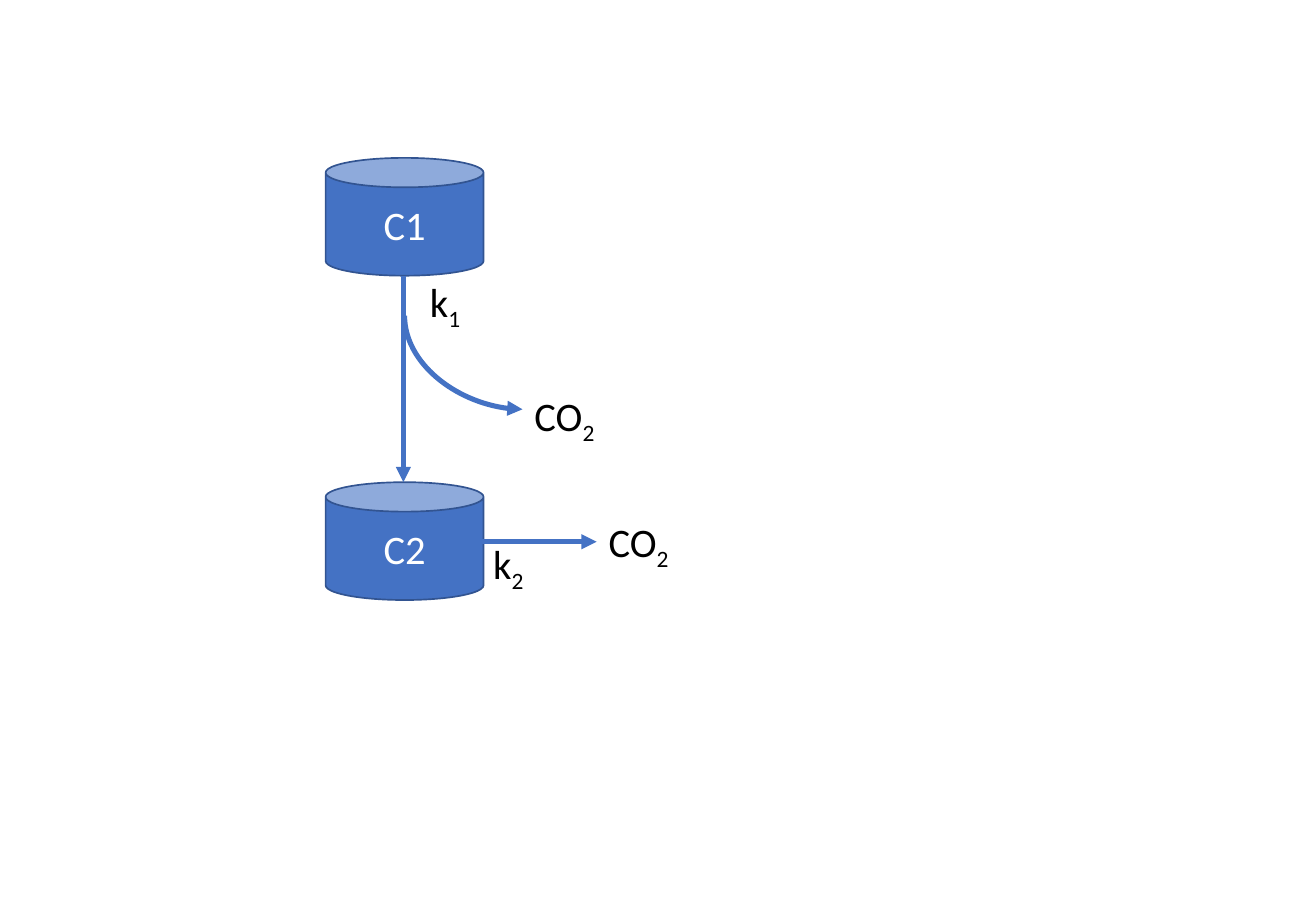
from lxml import etree
from pptx import Presentation
from pptx.dml.color import RGBColor
from pptx.enum import shapes, text
from pptx.oxml import ns
from pptx.util import Inches, Pt

BLUE = RGBColor(0x44, 0x72, 0xC4)
EDGE = RGBColor(0x32, 0x54, 0x91)
WHITE = RGBColor(0xFF, 0xFF, 0xFF)
BLACK = RGBColor(0, 0, 0)
LINE = shapes.MSO_CONNECTOR.STRAIGHT
CURVE = shapes.MSO_CONNECTOR.CURVE


def write(frame, words, sub="", color=BLACK, align=text.PP_ALIGN.LEFT,
          anchor=text.MSO_ANCHOR.TOP):
    """Write words followed by an optional subscript."""
    frame.word_wrap = True
    frame.vertical_anchor = anchor
    par = frame.paragraphs[0]
    par.alignment = align
    for part in filter(None, (words, sub)):
        run = par.add_run()
        run.text = part
        run.font.name = "Calibri"
        run.font.size = Pt(24)
        run.font.color.rgb = color
    if sub:
        run._r.get_or_add_rPr().set("baseline", "-25000")


def add_pool(slide, name, top):
    can = slide.shapes.add_shape(shapes.MSO_SHAPE.CAN, Inches(2.68),
                                 Inches(top), Inches(1.3), Inches(0.97))
    can.shadow.inherit = False
    can.fill.solid()
    can.fill.fore_color.rgb = BLUE
    can.line.color.rgb = EDGE
    can.line.width = Pt(1)
    write(can.text_frame, name, color=WHITE, align=text.PP_ALIGN.CENTER,
          anchor=text.MSO_ANCHOR.MIDDLE)


def add_label(slide, words, sub, left, top, width):
    box = slide.shapes.add_textbox(Inches(left), Inches(top),
                                   Inches(width), Inches(0.5))
    write(box.text_frame, words, sub)


def add_arrow(slide, start, end, kind=LINE):
    ends = [Inches(n) for n in (*start, *end)]
    arrow = slide.shapes.add_connector(kind, *ends)
    arrow.line.color.rgb = BLUE
    arrow.line.width = Pt(3)
    tip = etree.SubElement(arrow.line._get_or_add_ln(), ns.qn("a:tailEnd"))
    tip.set("type", "triangle")
    etree.SubElement(arrow._element.spPr, ns.qn("a:effectLst"))
    return arrow


def add_branch(slide):
    """Curve down and right: a mirrored quarter bend turned by 270 degrees."""
    bend = add_arrow(slide, (4.2, 2.5), (3.43, 3.47), CURVE)
    props = bend._element.spPr
    props.find(ns.qn("a:xfrm")).set("rot", str(270 * 60000))
    props.find(ns.qn("a:prstGeom")).set("prst", "curvedConnector2")


def main():
    deck = Presentation()
    deck.slide_width = Inches(10.83)
    deck.slide_height = Inches(7.5)
    slide = deck.slides.add_slide(deck.slide_layouts[6])

    add_pool(slide, "C1", 1.3)
    add_pool(slide, "C2", 3.97)
    add_arrow(slide, (3.32, 2.27), (3.32, 3.97))
    add_branch(slide)
    add_arrow(slide, (3.97, 4.46), (4.91, 4.46))

    add_label(slide, "CO", "2", 4.3, 3.17, 1.4)
    add_label(slide, "k", "1", 3.44, 2.23, 0.59)
    add_label(slide, "CO", "2", 4.91, 4.21, 1.4)
    add_label(slide, "k", "2", 3.96, 4.39, 0.59)
    deck.save("out.pptx")


if __name__ == "__main__":
    main()
